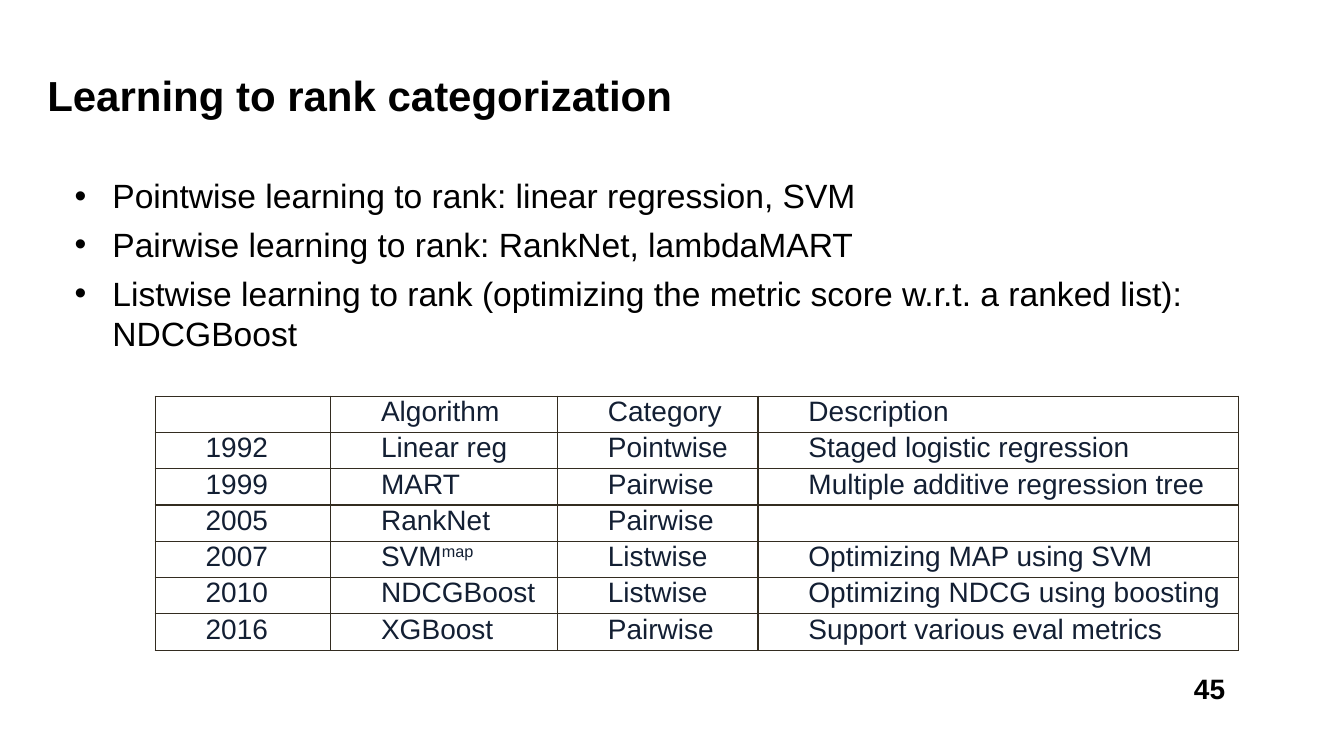
from dataclasses import dataclass

from lxml.etree import SubElement
from pptx import Presentation
from pptx.dml.color import RGBColor
from pptx.enum.text import MSO_ANCHOR as Anchor, MSO_AUTO_SIZE as AutoSize, PP_ALIGN as Align
from pptx.oxml.ns import qn
from pptx.util import Pt

BLACK = RGBColor(0x00, 0x00, 0x00)
NAVY = RGBColor(0x13, 0x1F, 0x33)
BROWN = RGBColor(0x33, 0x2C, 0x20)
FONT = "Arial"
INDENT = Pt(27)
CELL_INDENT = Pt(36)
ROW_HEIGHT = 25.92
COLUMN_WIDTHS = (125.3, 162, 143.3, 343.4)


@dataclass(frozen=True)
class Method:
    year: str
    algorithm: str
    category: str
    description: str = ""
    superscript: str = ""


HEADING = "Learning to rank categorization"
APPROACHES = (
    "Pointwise learning to rank: linear regression, SVM",
    "Pairwise learning to rank: RankNet, lambdaMART",
    "Listwise learning to rank (optimizing the metric score w.r.t. a ranked list): NDCGBoost",
)
METHODS = (
    Method("", "Algorithm", "Category", "Description"),
    Method("1992", "Linear reg", "Pointwise", "Staged logistic regression"),
    Method("1999", "MART", "Pairwise", "Multiple additive regression tree"),
    Method("2005", "RankNet", "Pairwise"),
    Method("2007", "SVM", "Listwise", "Optimizing MAP using SVM", superscript="map"),
    Method("2010", "NDCGBoost", "Listwise", "Optimizing NDCG using boosting"),
    Method("2016", "XGBoost", "Pairwise", "Support various eval metrics"),
)


def set_font(paragraph, size: float, color: RGBColor, bold: bool = False) -> None:
    font = paragraph.font
    font.name, font.size, font.bold = FONT, Pt(size), bold
    font.color.rgb = color


def add_frame(slide, left: float, top: float, width: float, height: float, inset: float = 3.6):
    """Add a wrapping text box with equal insets and return its text frame."""
    box = slide.shapes.add_textbox(Pt(left), Pt(top), Pt(width), Pt(height))
    frame = box.text_frame
    frame.word_wrap = True
    frame.margin_left = frame.margin_right = Pt(inset)
    frame.margin_top = frame.margin_bottom = Pt(inset)
    return frame


def add_bullet(paragraph) -> None:
    properties = paragraph._p.get_or_add_pPr()
    properties.set("marL", str(INDENT))
    properties.set("indent", str(-INDENT))
    bullet_color = SubElement(properties, qn("a:buClr"))
    SubElement(bullet_color, qn("a:srgbClr"), val=str(BLACK))
    SubElement(properties, qn("a:buFont"), typeface=FONT)
    SubElement(properties, qn("a:buChar"), char="•")


def style_cell(cell) -> None:
    """Remove margins and fill, and draw a thin border on all four sides."""
    cell.margin_left = cell.margin_right = cell.margin_top = cell.margin_bottom = 0
    properties = cell._tc.get_or_add_tcPr()
    for side in ("lnL", "lnR", "lnT", "lnB"):
        border = SubElement(properties, qn(f"a:{side}"), w=str(Pt(1)))
        fill = SubElement(border, qn("a:solidFill"))
        SubElement(fill, qn("a:srgbClr"), val=str(BROWN))
    cell.fill.background()


def add_methods_table(slide, left: float, top: float) -> None:
    table = slide.shapes.add_table(
        len(METHODS), len(COLUMN_WIDTHS), Pt(left), Pt(top),
        Pt(sum(COLUMN_WIDTHS)), Pt(ROW_HEIGHT * len(METHODS))).table
    table.first_row = table.horz_banding = False
    for column, width in zip(table.columns, COLUMN_WIDTHS):
        column.width = Pt(width)
    for row, method in zip(table.rows, METHODS):
        row.height = Pt(ROW_HEIGHT)
        values = (method.year, method.algorithm, method.category, method.description)
        for cell, value in zip(row.cells, values):
            style_cell(cell)
            paragraph = cell.text_frame.paragraphs[0]
            paragraph._p.get_or_add_pPr().set("indent", str(CELL_INDENT))
            set_font(paragraph, 20, NAVY)
            if value:
                paragraph.add_run().text = value
        if method.superscript:
            raised = row.cells[1].text_frame.paragraphs[0].add_run()
            raised.text = method.superscript
            raised._r.get_or_add_rPr().set("baseline", "32000")


def main() -> None:
    deck = Presentation()
    deck.slide_width, deck.slide_height = Pt(960), Pt(540)
    slide = deck.slides.add_slide(deck.slide_layouts[6])

    title = add_frame(slide, 30.2, 41.8, 830.9, 51.8)
    title.vertical_anchor = Anchor.MIDDLE
    title.text = HEADING
    set_font(title.paragraphs[0], 30, BLACK, bold=True)

    page_number = add_frame(slide, 849.6, 476.6, 28.8, 28.1, inset=2.9)
    page_number.word_wrap = False
    page_number.auto_size = AutoSize.SHAPE_TO_FIT_TEXT
    page_number.text = "45"
    page_number.paragraphs[0].alignment = Align.CENTER
    set_font(page_number.paragraphs[0], 20, BLACK, bold=True)

    approaches = add_frame(slide, 49.7, 121.7, 880.6, 229.7)
    approaches.text = "\n".join(APPROACHES)
    for index, paragraph in enumerate(approaches.paragraphs):
        add_bullet(paragraph)
        if index:
            paragraph.space_before = Pt(6)
        set_font(paragraph, 24, BLACK)

    add_methods_table(slide, 110.9, 283)
    deck.save("out.pptx")


if __name__ == "__main__":
    main()
